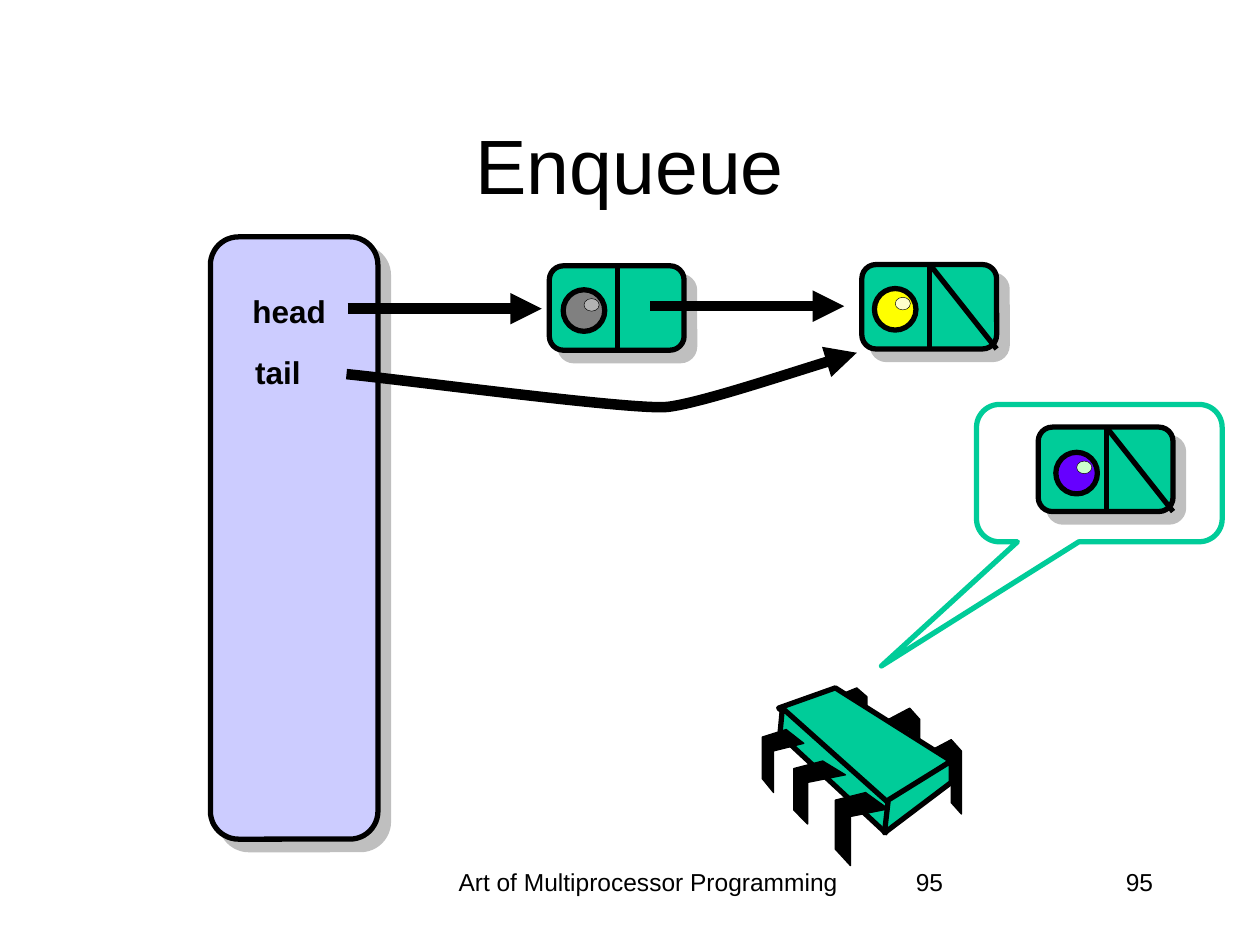
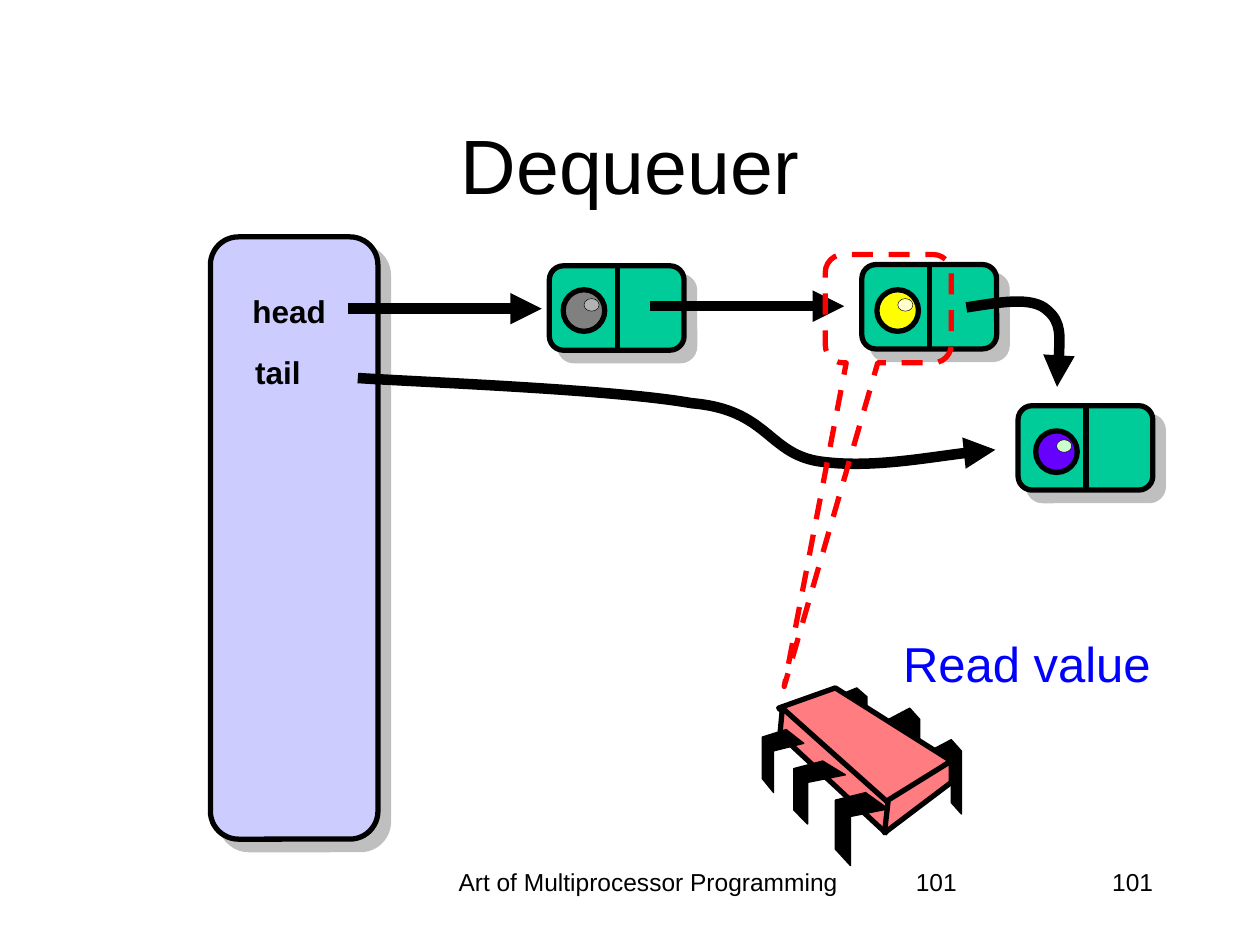
"""Builds two slides on a linked queue: an enqueuer and a dequeuer at work."""
from dataclasses import dataclass
from typing import Optional

from lxml import etree
from pptx import Presentation
from pptx.dml.color import RGBColor
from pptx.enum.dml import MSO_LINE
from pptx.enum.shapes import MSO_CONNECTOR, MSO_SHAPE
from pptx.enum.text import MSO_ANCHOR, PP_ALIGN
from pptx.oxml.ns import qn
from pptx.util import Emu, Inches, Pt

LEFT, CENTER, RIGHT = PP_ALIGN.LEFT, PP_ALIGN.CENTER, PP_ALIGN.RIGHT
TOP, MIDDLE = MSO_ANCHOR.TOP, MSO_ANCHOR.MIDDLE
ROUNDED, OVAL = MSO_SHAPE.ROUNDED_RECTANGLE, MSO_SHAPE.OVAL
CALLOUT = MSO_SHAPE.ROUNDED_RECTANGULAR_CALLOUT
STRAIGHT, DASH = MSO_CONNECTOR.STRAIGHT, MSO_LINE.DASH

SLIDE_WIDTH, SLIDE_HEIGHT = Inches(10), Inches(7.5)
CELL = SLIDE_WIDTH / 100
FONT = "Arial"
CORNER = 0.167
THIN, EDGE, STROKE = 0.75, 3, 6
NODE_WIDTH, NODE_HEIGHT, DIVIDER = 10.7, 6.7, 5.4
BALL_SIZE = 3.3

COLORS = {
    "ink": "000000", "queue": "CCCCFF", "green": "00CC99", "pink": "FF7C80",
    "red": "FF0000", "blue": "0000FF", "shadow": "808080",
    "gray": "808080", "gray shine": "B2B2B2",
    "yellow": "FFFF00", "yellow shine": "FFFFCC",
    "purple": "6600FF", "purple shine": "CCFFCC",
}

Point = tuple[float, float]

BACK_PIN = [(0, 0.9), (1.7, 0), (2.5, 0.9), (2.5, 5.9), (1.7, 5), (1.7, 1.7), (0, 2.5)]
BACK_PINS = [
    [(left + x, top + y) for x, y in BACK_PIN] for left, top in [(73.8, 58.7), (70.5, 56.2)]
] + [[(66.3, 55.3), (68, 54.6), (68.8, 55.3), (68.8, 59.6), (68, 58.9), (68, 56), (66.3, 56.7)]]
CHIP_FACES = [
    [(66.3, 54.6), (75.5, 60.4), (70.3, 63.9), (61.8, 56.2)],
    [(62.1, 56.2), (70.5, 63.7), (70.3, 66.1), (61.9, 58.3)],
    [(75.5, 60.4), (75.5, 62.1), (70.2, 66.1), (70.5, 63.5)],
]
FRONT_PINS = [
    [(68.7, 62.9), (70.5, 64.2), (67.5, 64.8), (67.5, 68.7), (66.3, 67.4), (66.3, 63.5)],
    [(65.3, 60.4), (67.1, 61.5), (64.1, 62.1), (64.1, 65.4), (63, 64.3), (63, 61)],
    [(62.4, 57.9), (63.8, 59), (61.4, 59.6), (61.4, 62.9), (60.5, 61.8), (60.5, 58.5)],
]


@dataclass(frozen=True)
class Box:
    """A rectangle in grid columns and rows."""
    left: float
    top: float
    width: float
    height: float

    def emu(self) -> list[Emu]:
        """Return the rectangle in slide units."""
        return [grid(value) for value in (self.left, self.top, self.width, self.height)]


@dataclass(frozen=True)
class Label:
    """A line of text in a box."""
    text: str
    box: Box
    size: float
    align: PP_ALIGN = CENTER
    color: str = "ink"
    bold: bool = False
    anchor: MSO_ANCHOR = TOP
    wrap: bool = True


@dataclass(frozen=True)
class Node:
    """A list node with its ball, and a slash if its link is null."""
    left: float
    top: float
    ball: str
    ball_offset: Point
    null_link: bool = False


@dataclass(frozen=True)
class Bubble:
    """A speech bubble whose tip is given as shares of its size."""
    box: Box
    tip: Point
    color: str
    dashed: bool = False


@dataclass(frozen=True)
class Scene:
    """What one slide shows besides the shared queue."""
    title: str
    number: str
    nodes: list[Node]
    arrows: list[list[Point]]
    chip_color: str
    bubble: Bubble
    caption: Optional[Label] = None


HEAD_ARROW = [(27.6, 24.5), (43, 24.5)]
LINK_ARROW = [(51.6, 24.3), (67, 24.3)]
SENTINEL = Node(43.6, 21.1, "gray", (1.1, 1.9))
FIELDS = [
    Label("head", Box(19, 22.7, 7.9, 4), 18, bold=True, wrap=False),
    Label("tail", Box(19.2, 27.5, 5.7, 4), 18, bold=True, wrap=False),
]
SCENES = [
    Scene(
        "Enqueue", "95",
        [SENTINEL,
         Node(68.4, 21, "yellow", (1, 1.9), True),
         Node(82.4, 33.9, "purple", (1.4, 2), True)],
        [HEAD_ARROW, LINK_ARROW,
         [(27.5, 29.7), (31.7, 30.1), (50.4, 32.6), (53, 32.3),
          (55.5, 32), (64.9, 28.9), (68, 28)]],
        "green",
        Bubble(Box(77.5, 32.1, 19.5, 10.9), (-0.887, 1.404), "green"),
    ),
    Scene(
        "Dequeuer", "101",
        [SENTINEL,
         Node(68.4, 21, "yellow", (1.2, 2)),
         Node(80.8, 32.2, "purple", (1.4, 2))],
        [HEAD_ARROW, LINK_ARROW,
         [(76.7, 24.4), (79.3, 24), (81.9, 23.5), (83.1, 24.6),
          (84.3, 25.6), (84.1, 28.1), (83.9, 30.7)],
         [(28.4, 30), (32.8, 30.3), (48.8, 30.9), (54.9, 32),
          (60.9, 32.5), (60.9, 35.9), (64.9, 36.6),
          (68.9, 37.2), (76.1, 35.9), (79, 35.7)]],
        "pink",
        Bubble(Box(65.5, 20.2, 10, 8.6), (-0.826, 3.488), "red", dashed=True),
        Label("Read value", Box(63, 49.8, 37, 5.7), 28, color="blue"),
    ),
]


def grid(cells: float) -> Emu:
    """Turn grid cells into slide units."""
    return Emu(round(cells * CELL))


def rgb(name: str) -> RGBColor:
    """Look up a colour by name."""
    return RGBColor.from_string(COLORS[name])


def paint(shape, fill: Optional[str], line: str = "ink", weight: float = EDGE) -> None:
    """Set fill and outline, and remove the theme shadow."""
    shape.shadow.inherit = False
    if fill:
        shape.fill.solid()
        shape.fill.fore_color.rgb = rgb(fill)
    else:
        shape.fill.background()
    shape.line.color.rgb = rgb(line)
    shape.line.width = Pt(weight)


def add_preset(shapes, kind, box: Box, fill: Optional[str], line: str = "ink",
               weight: float = EDGE):
    """Draw a painted preset shape."""
    shape = shapes.add_shape(kind, *box.emu())
    paint(shape, fill, line, weight)
    return shape


def add_shadowed_panel(shapes, box: Box, fill: str) -> None:
    """Draw a rounded panel with a hard shadow to the lower right."""
    panel = add_preset(shapes, ROUNDED, box, fill)
    panel.adjustments[0] = CORNER
    effects = panel._element.spPr.find(qn("a:effectLst"))
    shadow = etree.SubElement(effects, qn("a:outerShdw"), blurRad="0", dist=str(Pt(8.5)),
                              dir="2700000", algn="ctr", rotWithShape="0")
    color = etree.SubElement(shadow, qn("a:srgbClr"), val=COLORS["shadow"])
    etree.SubElement(color, qn("a:alpha"), val="50000")


def add_label(shapes, label: Label) -> None:
    """Write a line of text."""
    frame = shapes.add_textbox(*label.box.emu()).text_frame
    frame.word_wrap = label.wrap
    frame.vertical_anchor = label.anchor
    para = frame.paragraphs[0]
    para.text = label.text
    para.alignment = label.align
    para.font.name = FONT
    para.font.size = Pt(label.size)
    para.font.bold = label.bold
    para.font.color.rgb = rgb(label.color)


def add_line(shapes, start: Point, end: Point, weight: float = EDGE):
    """Draw a straight line without a shadow."""
    line = shapes.add_connector(STRAIGHT, *map(grid, (*start, *end)))
    line.line.color.rgb = rgb("ink")
    line.line.width = Pt(weight)
    etree.SubElement(line._element.spPr, qn("a:effectLst"))
    return line


def add_outline(shapes, points: list[Point], closed: bool):
    """Draw an outline through grid points."""
    (start_x, start_y), *rest = [(grid(x), grid(y)) for x, y in points]
    builder = shapes.build_freeform(start_x, start_y)
    builder.add_line_segments(rest, close=closed)
    return builder.convert_to_shape()


def add_curve(shapes, points: list[Point]):
    """Draw cubic curves: a start, then two control points and an end for each."""
    curve = add_outline(shapes, points, closed=False)
    paint(curve, None, weight=STROKE)
    segments = list(curve._element.iter(qn("a:lnTo")))
    for first in range(0, len(segments), 3):
        bezier = etree.Element(qn("a:cubicBezTo"))
        segments[first].addprevious(bezier)
        for segment in segments[first:first + 3]:
            bezier.append(segment[0])
            segment.getparent().remove(segment)
    return curve


def add_arrow(shapes, points: list[Point]) -> None:
    """Draw a straight or curved pointer arrow."""
    if len(points) == 2:
        arrow = add_line(shapes, *points, weight=STROKE)
    else:
        arrow = add_curve(shapes, points)
    etree.SubElement(arrow._element.spPr.find(qn("a:ln")), qn("a:tailEnd"), type="triangle")


def add_node(page, node: Node) -> None:
    """Draw a list node as a group."""
    shapes = page.shapes.add_group_shape().shapes
    add_shadowed_panel(shapes, Box(node.left, node.top, NODE_WIDTH, NODE_HEIGHT), "green")
    middle, bottom = node.left + DIVIDER, node.top + NODE_HEIGHT
    add_line(shapes, (middle, node.top), (middle, bottom))
    if node.null_link:
        add_line(shapes, (middle, node.top), (node.left + NODE_WIDTH, bottom))
    ball_left, ball_top = node.left + node.ball_offset[0], node.top + node.ball_offset[1]
    add_preset(shapes, OVAL, Box(ball_left, ball_top, BALL_SIZE, BALL_SIZE), node.ball)
    add_preset(shapes, OVAL, Box(ball_left + 1.65, ball_top + 0.7, 1.2, 1),
               f"{node.ball} shine", weight=0.25)


def add_chip(page, color: str) -> None:
    """Draw the processor chip as a group."""
    shapes = page.shapes.add_group_shape().shapes
    layers = [(BACK_PINS, "ink", THIN), (CHIP_FACES, color, EDGE), (FRONT_PINS, "ink", THIN)]
    for outlines, fill, weight in layers:
        for points in outlines:
            paint(add_outline(shapes, points, closed=True), fill, weight=weight)


def add_bubble(page, bubble: Bubble) -> None:
    """Draw an unfilled speech bubble."""
    shape = add_preset(page.shapes, CALLOUT, bubble.box, None, bubble.color)
    for index, value in enumerate((*bubble.tip, CORNER)):
        shape.adjustments[index] = value
    if bubble.dashed:
        shape.line.dash_style = DASH


def add_scene(deck, scene: Scene) -> None:
    """Add one slide with the shared frame and its own scene."""
    page = deck.slides.add_slide(deck.slide_layouts[6])
    number_box = Box(71.7, 68.3, 20.8, 5)
    add_shadowed_panel(page.shapes, Box(16.7, 18.8, 13.3, 47.8), "queue")
    labels = [
        Label(scene.title, Box(7.5, 6.7, 85, 12.5), 44, anchor=MIDDLE),
        Label("Art of Multiprocessor Programming", Box(34.2, 68.3, 34.5, 5), 14),
        Label(scene.number, number_box, 14, LEFT),
        Label(scene.number, number_box, 14, RIGHT),
        *FIELDS,
    ]
    if scene.caption:
        labels.append(scene.caption)
    for label in labels:
        add_label(page.shapes, label)
    for node in scene.nodes:
        add_node(page, node)
    for points in scene.arrows:
        add_arrow(page.shapes, points)
    add_chip(page, scene.chip_color)
    add_bubble(page, scene.bubble)


def main() -> None:
    """Build and save the deck."""
    deck = Presentation()
    deck.slide_width, deck.slide_height = SLIDE_WIDTH, SLIDE_HEIGHT
    for scene in SCENES:
        add_scene(deck, scene)
    deck.save("out.pptx")


if __name__ == "__main__":
    main()
